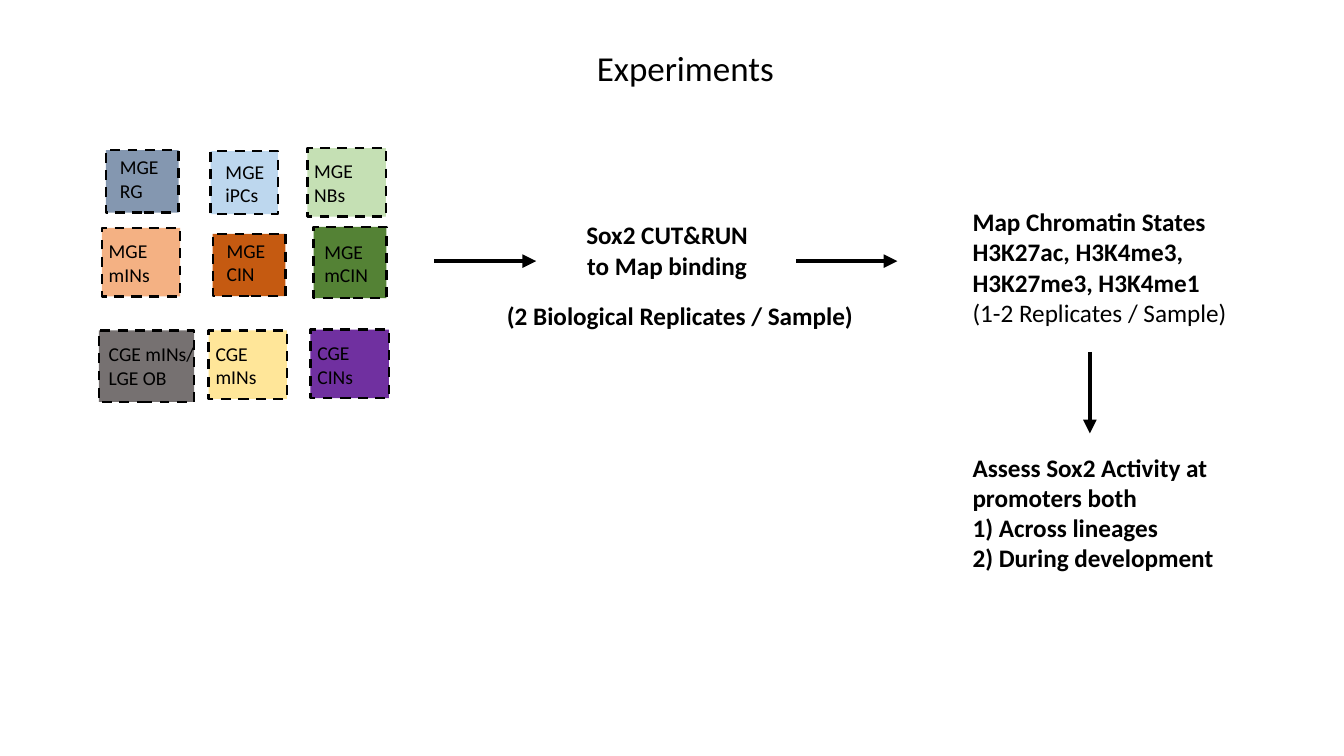
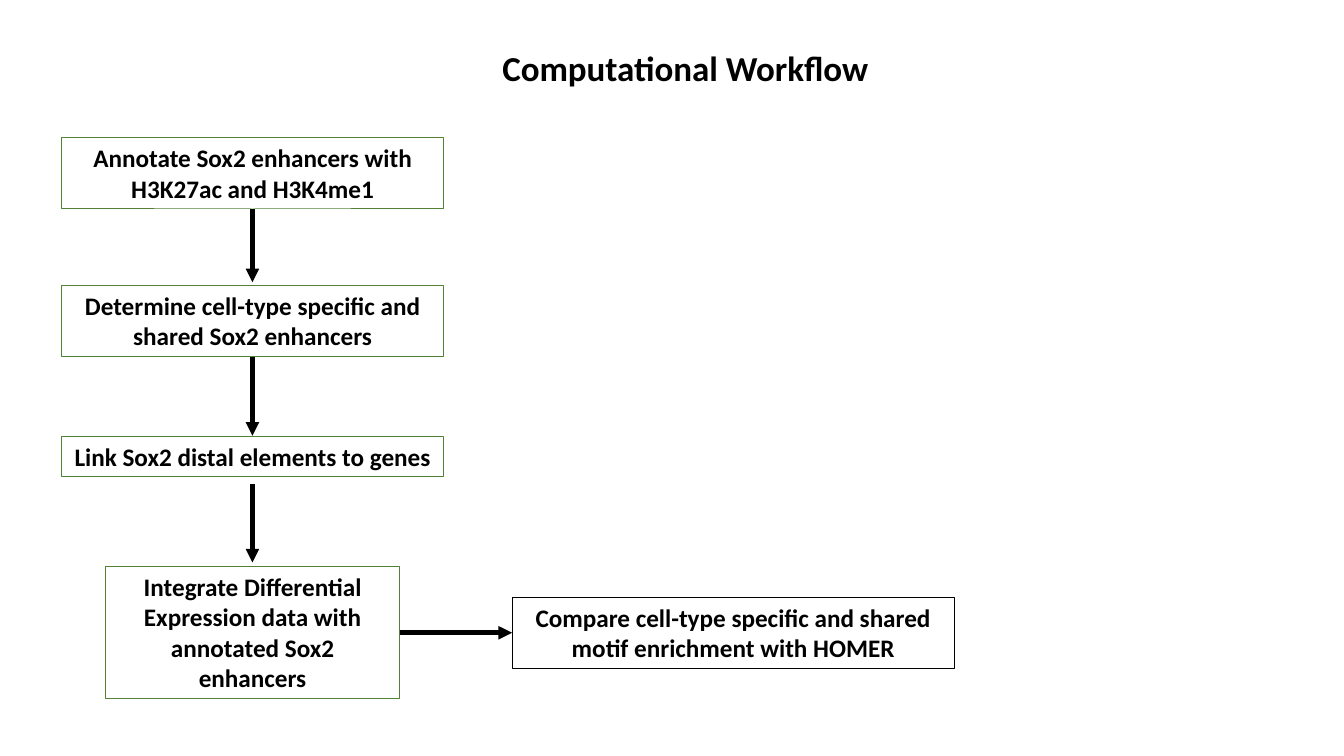
"""Build two slides on Sox2 experiments and the computational workflow."""
from lxml import etree
from pptx import Presentation
from pptx.dml.color import RGBColor
from pptx.enum.dml import MSO_LINE
from pptx.enum.shapes import MSO_CONNECTOR, MSO_SHAPE
from pptx.enum.text import MSO_ANCHOR, PP_ALIGN
from pptx.oxml.ns import qn
from pptx.util import Pt

RECT, STRAIGHT = MSO_SHAPE.RECTANGLE, MSO_CONNECTOR.STRAIGHT
DASH, TOP = MSO_LINE.DASH, MSO_ANCHOR.TOP
LEFT, CENTER = PP_ALIGN.LEFT, PP_ALIGN.CENTER

BLACK = RGBColor(0x00, 0x00, 0x00)
GREEN = RGBColor(0x54, 0x82, 0x35)
SLATE = RGBColor(0x84, 0x97, 0xB0)
SKY = RGBColor(0xBD, 0xD7, 0xEE)
MINT = RGBColor(0xC5, 0xE0, 0xB4)
PEACH = RGBColor(0xF4, 0xB1, 0x83)
RUST = RGBColor(0xC5, 0x5A, 0x11)
GRAY = RGBColor(0x76, 0x71, 0x71)
CREAM = RGBColor(0xFF, 0xE6, 0x99)
PURPLE = RGBColor(0x70, 0x30, 0xA0)
FONT = "Calibri"

TITLE_BOX = (44, 29.5, 891, 37.5)
LABEL_H = 41

# Lines, fill, box (left, top, width, height), label (left, top, width)
CELLS = [
    (["MGE RG"], SLATE, (75.6, 107.3, 52, 44.6), (78.5, 107.3, 45)),
    (["MGE", "iPCs"], SKY, (150.5, 108, 48, 45), (154, 110.5, 50)),
    (["MGE NBs"], MINT, (219.6, 105.8, 56, 49), (217.4, 110.2, 57.5)),
    (["MGE mINs"], PEACH, (72.7, 162.7, 56, 49), (70.6, 167.4, 57.5)),
    (["MGE CIN"], RUST, (152, 167, 52, 44.6), (154.8, 167, 45)),
    (["MGE", "mCIN"], GREEN, (224, 162, 52, 51), (224.6, 167.8, 50)),
    (["CGE mINs/", "LGE OB"], GRAY, (70.6, 236, 68, 51), (70.6, 241, 78)),
    (["CGE mINs"], CREAM, (149, 236, 56, 49), (146.9, 240.5, 57.5)),
    (["CGE CINs"], PURPLE, (221.8, 235.4, 56, 49), (219.6, 240.2, 57.5)),
]

# Lines, box, alignment, number of bold lines
NOTES = [
    (["(2 Biological Replicates / Sample)"], (355, 211, 265, 29), LEFT, 1),
    (["Map Chromatin States", "H3K27ac, H3K4me3, H3K27me3, H3K4me1",
      "(1-2 Replicates / Sample)"], (687.6, 144, 224, 94.5), LEFT, 2),
    (["Sox2 CUT&RUN to Map binding"], (404.5, 153.3, 144, 51), CENTER, 1),
    (["Assess Sox2 Activity at promoters both", "1) Across lineages",
      "2) During development"], (687.6, 319.3, 211, 94.5), LEFT, 3),
]
NOTE_ARROWS = [(310.3, 186.5, 383, 186.5), (568.8, 186.5, 641, 186.5),
               (778.5, 251.3, 778.5, 309.6)]

STEPS = [
    ("Annotate Sox2 enhancers with H3K27ac and H3K4me1",
     (44, 98.3, 273, 51), GREEN),
    ("Determine cell-type specific and shared Sox2 enhancers",
     (44, 203.8, 273, 51), GREEN),
    ("Link Sox2 distal elements to genes", (44, 311.7, 273, 29), GREEN),
    ("Integrate Differential Expression data with annotated Sox2 enhancers",
     (75.5, 404.6, 210, 94.5), GREEN),
    ("Compare cell-type specific and shared motif enrichment with HOMER",
     (365.8, 426.5, 316, 51), BLACK),
]
STEP_ARROWS = [(180.3, 149.3, 180.3, 201.6), (180.3, 254.8, 180.3, 311.3),
               (180.3, 345.6, 180.3, 401.8), (285.5, 452, 365.8, 452)]


def points(*nums):
    return [Pt(n) for n in nums]


def write(shape, lines, size=18, bold=0, align=LEFT):
    frame = shape.text_frame
    frame.word_wrap = True
    frame.vertical_anchor = TOP
    for i, line in enumerate(lines):
        para = frame.paragraphs[0] if i == 0 else frame.add_paragraph()
        para.alignment = align
        run = para.add_run()
        run.text = line
        font = run.font
        font.name, font.size, font.bold = FONT, Pt(size), i < bold
        font.color.rgb = BLACK


def add_text(shapes, box, lines, **style):
    write(shapes.add_textbox(*points(*box)), lines, **style)


def add_box(shapes, box, line, width, fill=None):
    shape = shapes.add_shape(RECT, *points(*box))
    shape.shadow.inherit = False
    if fill is None:
        shape.fill.background()
    else:
        shape.fill.solid()
        shape.fill.fore_color.rgb = fill
    shape.line.color.rgb = line
    shape.line.width = Pt(width)
    return shape


def add_arrow(shapes, ends):
    arrow = shapes.add_connector(STRAIGHT, *points(*ends))
    arrow.line.color.rgb = BLACK
    arrow.line.width = Pt(3.25)
    etree.SubElement(arrow.line._get_or_add_ln(), qn("a:tailEnd"),
                     type="triangle")
    etree.SubElement(arrow._element.spPr, qn("a:effectLst"))


def add_slide(deck, title, arrows, bold=0):
    shapes = deck.slides.add_slide(deck.slide_layouts[6]).shapes
    add_text(shapes, TITLE_BOX, [title], size=25, bold=bold, align=CENTER)
    for ends in arrows:
        add_arrow(shapes, ends)
    return shapes


def main():
    deck = Presentation()
    deck.slide_width, deck.slide_height = points(960, 540)

    shapes = add_slide(deck, "Experiments", NOTE_ARROWS)
    for lines, fill, box, label in CELLS:
        group = shapes.add_group_shape().shapes
        add_box(group, box, BLACK, 1.75, fill).line.dash_style = DASH
        add_text(group, (*label, LABEL_H), lines, size=14)
    for lines, box, align, bold in NOTES:
        add_text(shapes, box, lines, bold=bold, align=align)

    shapes = add_slide(deck, "Computational Workflow", STEP_ARROWS, bold=1)
    for text, box, line in STEPS:
        write(add_box(shapes, box, line, 0.75), [text], bold=1, align=CENTER)

    deck.save("out.pptx")


if __name__ == "__main__":
    main()
